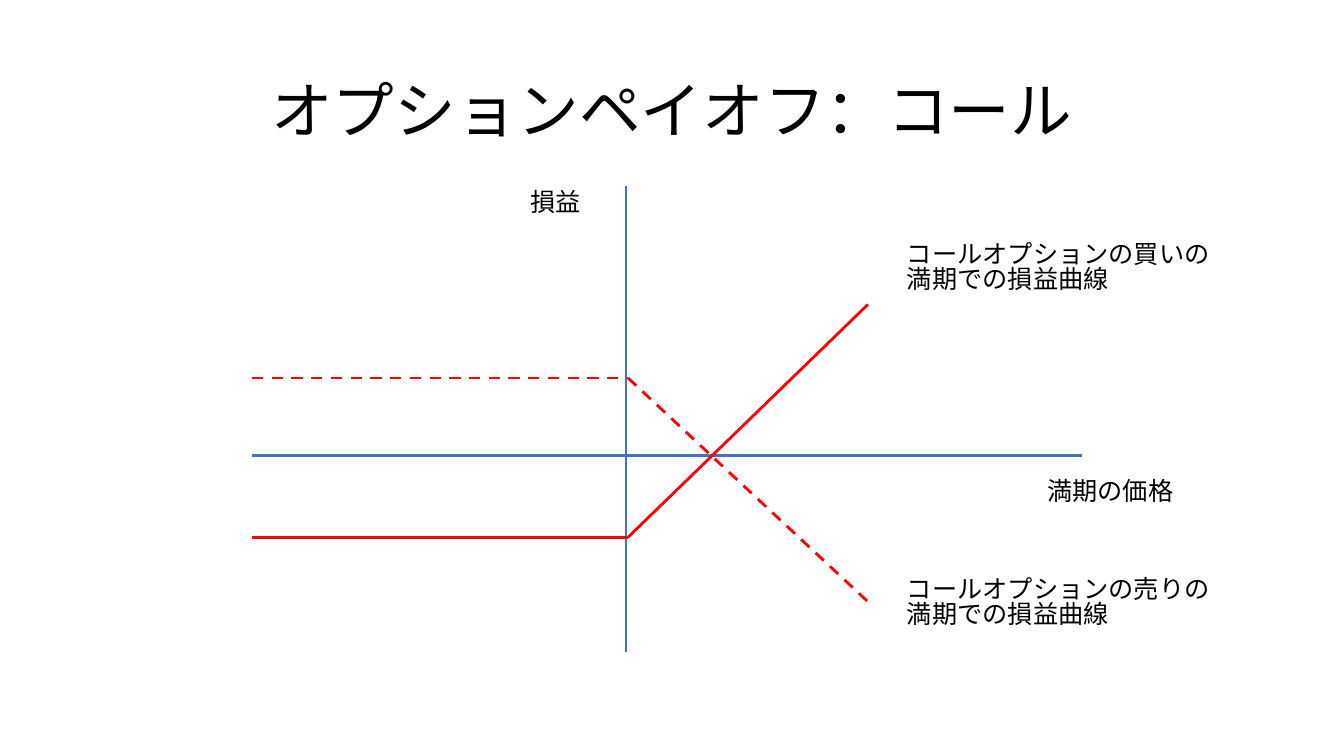
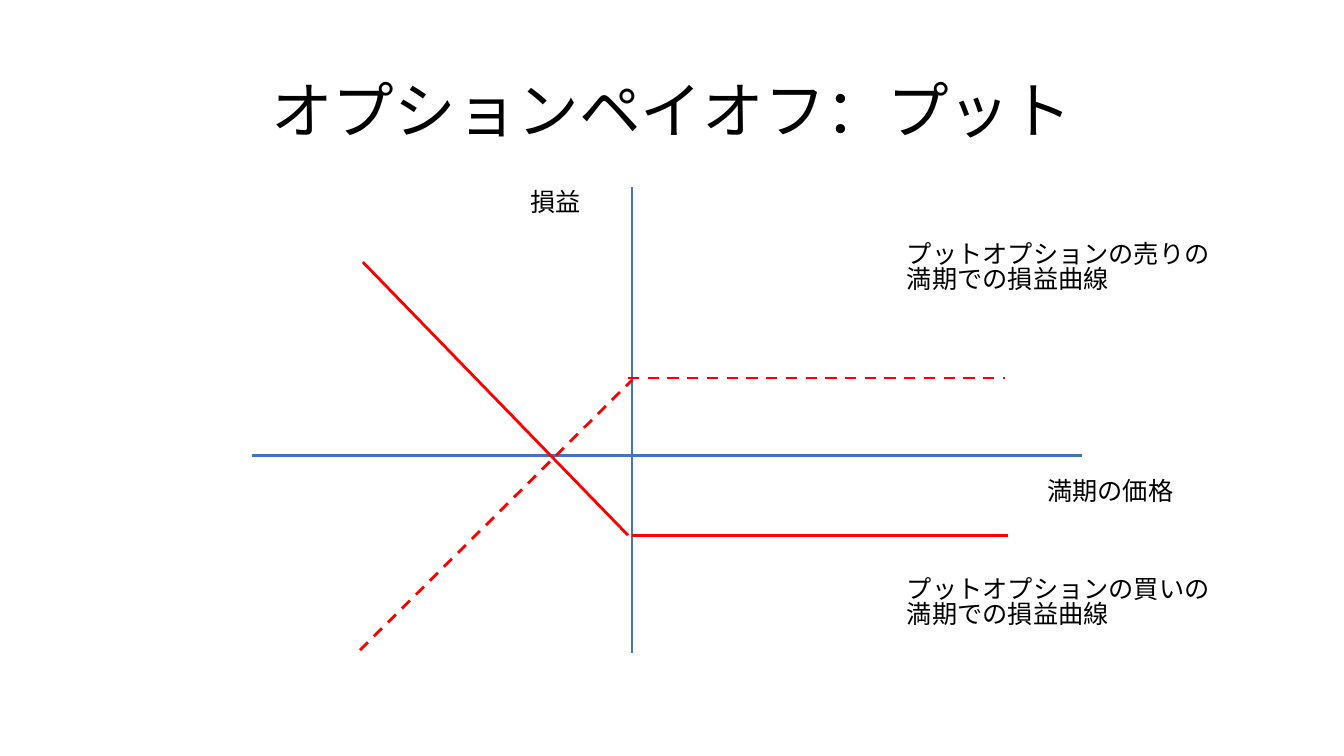
from dataclasses import dataclass

from lxml import etree
from pptx import Presentation
from pptx.dml.color import RGBColor
from pptx.enum.dml import MSO_LINE
from pptx.enum.shapes import MSO_CONNECTOR
from pptx.enum.text import MSO_ANCHOR, MSO_AUTO_SIZE, PP_ALIGN
from pptx.oxml.ns import qn
from pptx.util import Inches, Pt

STRAIGHT = MSO_CONNECTOR.STRAIGHT
SOLID, DASH = MSO_LINE.SOLID, MSO_LINE.DASH
MIDDLE, TOP = MSO_ANCHOR.MIDDLE, MSO_ANCHOR.TOP
CENTER, LEFT = PP_ALIGN.CENTER, PP_ALIGN.LEFT
NO_AUTOFIT = MSO_AUTO_SIZE.NONE
TITLE_ONLY = 5


@dataclass(frozen=True)
class Theme:
    font: str = "Noto Sans CJK JP"
    ink: RGBColor = RGBColor(0x00, 0x00, 0x00)
    axis: RGBColor = RGBColor(0x44, 0x72, 0xC4)
    payoff: RGBColor = RGBColor(0xFF, 0x00, 0x00)
    title_size: Pt = Pt(44)
    label_size: Pt = Pt(18)
    line_width: Pt = Pt(2)
    title_spacing: float = 0.9
    label_spacing: float = 0.82


def apply(target, values):
    for name, value in values.items():
        setattr(target, name, value)


class PayoffDeck:
    def __init__(self, theme):
        self.theme = theme
        self.deck = Presentation()
        apply(self.deck, {"slide_width": Inches(13.33), "slide_height": Inches(7.5)})
        self.page = None

    def across(self, percent):
        return round(self.deck.slide_width * percent / 100)

    def down(self, percent):
        return round(self.deck.slide_height * percent / 100)

    def place(self, left, top, width, height):
        return self.across(left), self.down(top), self.across(width), self.down(height)

    def fill_text(self, box, lines, size, spacing, align, anchor, wrap):
        frame = box.text_frame
        frame.text = "\n".join(lines)
        apply(frame, {"word_wrap": wrap, "vertical_anchor": anchor, "auto_size": NO_AUTOFIT})
        for para in frame.paragraphs:
            apply(para, {"alignment": align, "line_spacing": spacing})
            for span in para.runs:
                apply(span.font, {"name": self.theme.font, "size": size})
                span.font.color.rgb = self.theme.ink
                east_asian = etree.SubElement(span.font._element, qn("a:ea"))
                east_asian.set("typeface", self.theme.font)

    def add_page(self, title):
        self.page = self.deck.slides.add_slide(self.deck.slide_layouts[TITLE_ONLY])
        box = self.page.shapes.title
        left, top, width, height = self.place(6.88, 5.33, 86.25, 19.33)
        apply(box, {"left": left, "top": top, "width": width, "height": height})
        theme = self.theme
        self.fill_text(box, [title], theme.title_size, theme.title_spacing, CENTER, MIDDLE, True)

    def add_label(self, lines, left, top, width, height):
        box = self.page.shapes.add_textbox(*self.place(left, top, width, height))
        theme = self.theme
        self.fill_text(box, lines, theme.label_size, theme.label_spacing, LEFT, TOP, False)

    def add_line(self, start, end, color, dash=SOLID):
        line = self.page.shapes.add_connector(
            STRAIGHT,
            self.across(start[0]), self.down(start[1]),
            self.across(end[0]), self.down(end[1]),
        )
        line.line.color.rgb = color
        apply(line.line, {"width": self.theme.line_width, "dash_style": dash})
        etree.SubElement(line._element.spPr, qn("a:effectLst"))

    def add_axes(self, origin, top):
        self.add_line((18.75, 60.27), (80.48, 60.27), self.theme.axis)
        self.add_line((origin, top), (origin, top + 61.6), self.theme.axis)
        self.add_label(["損益"], 38.7, 24.67, 5.33, 5.33)
        self.add_label(["満期の価格"], 77.18, 62.93, 10.95, 5.33)

    def add_payoff(self, segments, dash):
        for start, end in segments:
            self.add_line(start, end, self.theme.payoff, dash)

    def add_curve_label(self, name, top):
        self.add_label([name, "満期での損益曲線"], 66.75, top, 24.23, 9.47)


PAGES = [
    {
        "kind": "コール",
        "axes": (46.58, 24.67),
        "buy": [((18.75, 71.07), (46.73, 71.07)), ((46.73, 71.07), (64.58, 40.27))],
        "sell": [((18.75, 50), (46.73, 50)), ((46.73, 50), (64.58, 79.6))],
        "sides": ("買い", "売り"),
    },
    {
        "kind": "プット",
        "axes": (47.03, 24.8),
        "buy": [((47.03, 70.8), (75, 70.8)), ((46.73, 70.8), (27, 34.67))],
        "sell": [((46.73, 50), (74.78, 50)), ((26.78, 86), (47.03, 50.27))],
        "sides": ("売り", "買い"),
    },
]


def main():
    slides = PayoffDeck(Theme())
    for page in PAGES:
        slides.add_page(f"オプションペイオフ：{page['kind']}")
        slides.add_axes(*page["axes"])
        slides.add_payoff(page["buy"], SOLID)
        slides.add_payoff(page["sell"], DASH)
        for side, top in zip(page["sides"], (31.6, 75.87)):
            slides.add_curve_label(f"{page['kind']}オプションの{side}の", top)
    slides.deck.save("out.pptx")


if __name__ == "__main__":
    main()
